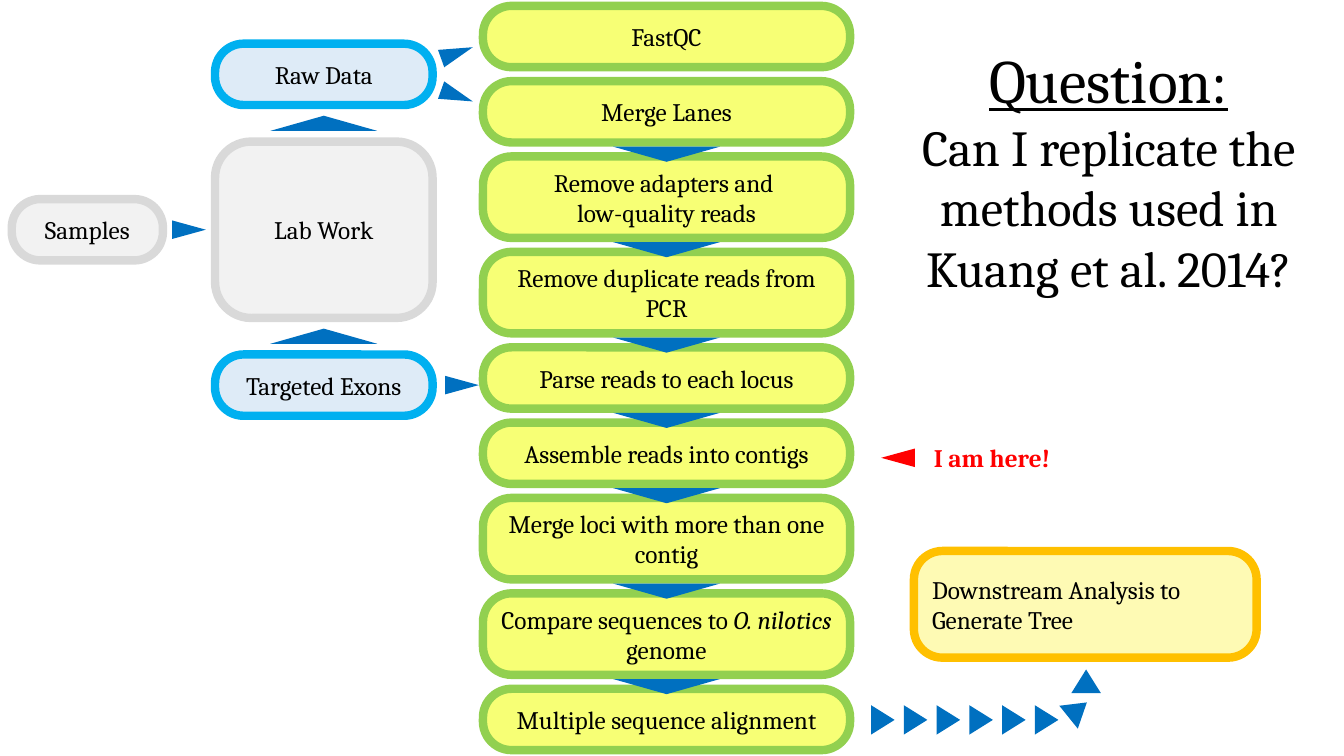
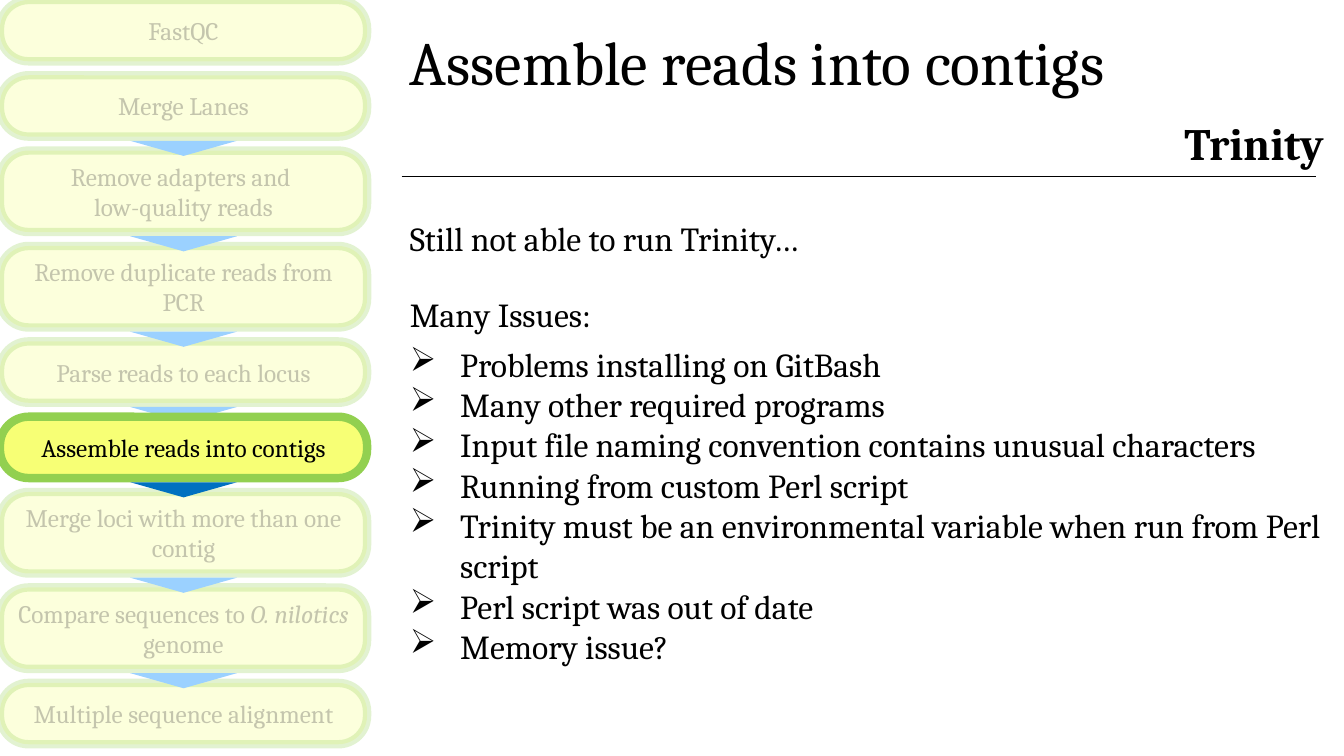
from dataclasses import dataclass

from lxml.etree import SubElement
from pptx import Presentation
from pptx.dml.color import RGBColor
from pptx.enum.shapes import MSO_CONNECTOR, MSO_SHAPE
from pptx.enum.text import MSO_ANCHOR, PP_ALIGN
from pptx.oxml.ns import qn
from pptx.util import Inches, Pt

FONT = "Cambria"
BLACK = RGBColor(0x00, 0x00, 0x00)
RED = RGBColor(0xFF, 0x00, 0x00)
BLUE = RGBColor(0x00, 0x70, 0xC0)
PALE_BLUE = RGBColor(0x9B, 0xD1, 0xFF)
FADED_TEXT = RGBColor(0xC4, 0xC5, 0xAD)
YELLOW, GREEN = RGBColor(0xF7, 0xFF, 0x75), RGBColor(0x92, 0xD0, 0x50)
ICE, SKY = RGBColor(0xDE, 0xEB, 0xF7), RGBColor(0x00, 0xB0, 0xF0)
MIST, GREY = RGBColor(0xF2, 0xF2, 0xF2), RGBColor(0xD9, 0xD9, 0xD9)
CREAM, AMBER = RGBColor(0xFE, 0xFA, 0xB4), RGBColor(0xFF, 0xC0, 0x00)

COLS, ROWS = 160, 90
SLIDE_W, SLIDE_H = Inches(13.33), Inches(7.5)
ONE_LINE, TWO_LINES = 7.3, 9.7
CHEVRON = (12.7, 1.8)
POINTER = (2.2, 4)
TRAIL = (3.5, 2.8)

STEPS = [
    (ONE_LINE, ["FastQC"]),
    (ONE_LINE, ["Merge Lanes"]),
    (TWO_LINES, ["Remove adapters and ", "low-quality reads"]),
    (TWO_LINES, ["Remove duplicate reads from PCR"]),
    (ONE_LINE, ["Parse reads to each locus"]),
    (ONE_LINE, ["Assemble reads into contigs"]),
    (TWO_LINES, ["Merge loci with more than one contig"]),
    (TWO_LINES, [[("Compare sequences to ", {}), ("O. nilotics", {"italic": True}),
                  (" genome", {})]]),
    (ONE_LINE, ["Multiple sequence alignment"]),
]
ASSEMBLE = 5

ISSUES = [
    "Problems installing on GitBash",
    "Many other required programs",
    "Input file naming convention contains unusual characters",
    "Running from custom Perl script",
    "Trinity must be an environmental variable when run from Perl script",
    "Perl script was out of date",
    "Memory issue?",
]


@dataclass
class Box:
    x: float
    y: float
    w: float
    h: float

    @property
    def right(self):
        return self.x + self.w

    @property
    def bottom(self):
        return self.y + self.h

    @property
    def cx(self):
        return self.x + self.w / 2

    @property
    def cy(self):
        return self.y + self.h / 2

    def emu(self):
        return (col(self.x), row(self.y), col(self.w), row(self.h))


def col(n):
    return round(SLIDE_W * n / COLS)


def row(n):
    return round(SLIDE_H * n / ROWS)


def add_bullet(p):
    pPr = p._p.get_or_add_pPr()
    pPr.set("marL", str(Inches(0.5)))
    pPr.set("indent", str(-Inches(0.5)))
    SubElement(pPr, qn("a:buChar")).set("char", "➢")


def write(tf, paras, size=18, color=BLACK, align=PP_ALIGN.LEFT, bullet=False, **style):
    tf.word_wrap = True
    for i, runs in enumerate(paras):
        p = tf.paragraphs[0] if i == 0 else tf.add_paragraph()
        p.alignment = align
        if bullet:
            add_bullet(p)
        for text, extra in [(runs, {})] if isinstance(runs, str) else runs:
            r = p.add_run()
            r.text = text
            r.font.name = FONT
            r.font.color.rgb = color
            for key, value in {"size": Pt(size), **style, **extra}.items():
                setattr(r.font, key, value)


def add_text(s, box, paras, **style):
    write(s.shapes.add_textbox(*box.emu()).text_frame, paras, **style)


def add_card(s, box, paras, fill, line, radius=3.4, faded=False, align=PP_ALIGN.CENTER):
    sp = s.shapes.add_shape(MSO_SHAPE.ROUNDED_RECTANGLE, *box.emu())
    sp.shadow.inherit = False
    sp.adjustments[0] = radius / min(box.w, box.h)
    sp.fill.solid()
    sp.fill.fore_color.rgb = fill
    sp.line.color.rgb = line
    sp.line.width = Pt(6)
    if faded:
        for clr in sp.element.spPr.iter(qn("a:srgbClr")):
            SubElement(clr, qn("a:alpha")).set("val", "25000")
    sp.text_frame.vertical_anchor = MSO_ANCHOR.MIDDLE
    write(sp.text_frame, paras, color=FADED_TEXT if faded else BLACK, align=align)


def add_arrow(s, cx, cy, size, rotation=0, color=BLUE):
    w, h = size
    box = Box(cx - w / 2, cy - h / 2, w, h)
    sp = s.shapes.add_shape(MSO_SHAPE.ISOSCELES_TRIANGLE, *box.emu())
    sp.shadow.inherit = False
    sp.rotation = rotation
    sp.fill.solid()
    sp.fill.fore_color.rgb = color
    sp.line.fill.background()


def pipeline(s, box, current=None):
    gap = (box.h - sum(h for h, _ in STEPS)) / (len(STEPS) - 1)
    cards, y = [], box.y
    for h, _ in STEPS:
        cards.append(Box(box.x, y, box.w, h))
        y += h + gap

    def draw_cards(group, faded):
        for i in group:
            add_card(s, cards[i], STEPS[i][1], YELLOW, GREEN, faded=faded)
        for i in group:
            if 0 < i < len(STEPS) - 1:
                add_arrow(s, box.cx, cards[i].bottom + 0.5 + CHEVRON[1] / 2, CHEVRON,
                          180, PALE_BLUE if faded else BLUE)

    everything = range(len(STEPS))
    if current is None:
        draw_cards(everything, False)
    else:
        draw_cards([i for i in everything if i != current], True)
        draw_cards([current], False)


def lab_inputs(s, box):
    w = 25.9
    raw = Box(box.right - w, box.y, w, ONE_LINE)
    exons = Box(raw.x, box.bottom - ONE_LINE, w, ONE_LINE)
    lab = Box(raw.x, box.cy - 10.5, w, 21)
    samples = Box(box.x, box.cy - ONE_LINE / 2, 18, ONE_LINE)
    add_card(s, raw, ["Raw Data"], ICE, SKY)
    add_card(s, exons, ["Targeted Exons"], ICE, SKY)
    add_card(s, lab, ["Lab Work"], MIST, GREY, radius=4.3)
    add_card(s, samples, ["Samples"], MIST, GREY)
    add_arrow(s, raw.cx, (raw.bottom + lab.y) / 2, CHEVRON)
    add_arrow(s, raw.cx, (lab.bottom + exons.y) / 2, CHEVRON)
    add_arrow(s, (samples.right + lab.x) / 2, box.cy, POINTER, 90)
    add_arrow(s, box.right + 3.5, exons.cy, POINTER, 90)
    for side in (-1, 1):
        add_arrow(s, box.right + 2.9, raw.cy + side * 2.55, POINTER, 90 + side * 19.7)


def downstream(s, box):
    card = Box(box.right - 40.8, box.y, 40.8, 12.7)
    add_card(s, card, ["Downstream Analysis to", "Generate Tree"], CREAM, AMBER,
             align=PP_ALIGN.LEFT)
    for i in range(6):
        add_arrow(s, box.x + 1.8 + 3.9 * i, box.bottom - 1.4, TRAIL, 90)
    add_arrow(s, card.x + 19.5, box.bottom - 2.6, TRAIL, 51.1)
    add_arrow(s, card.x + 20.5, card.bottom + 2.8, TRAIL)


def here_marker(s, box):
    add_arrow(s, box.x + 2, box.cy, POINTER, 270, RED)
    add_text(s, Box(box.x + 5.1, box.y, box.w - 5.1, box.h), ["I am here!"],
             color=RED, bold=True)


def question(s, box):
    add_text(s, box, [
        [("Question:", {"size": Pt(44), "underline": True})],
        "Can I replicate the methods used in Kuang et al. 2014?",
    ], size=36, align=PP_ALIGN.CENTER)


def heading(s, box, title, tool):
    add_text(s, Box(box.x, box.y, 94.7, box.h), [title], size=44)
    add_text(s, Box(box.right - 21.8, box.y + 11, 21.8, 7.7), [tool], size=32, bold=True)
    y = row(box.bottom)
    rule = s.shapes.add_connector(MSO_CONNECTOR.STRAIGHT, col(box.x + 0.2), y,
                                  col(box.right - 4.9), y)
    rule.line.color.rgb = BLACK
    rule.line.width = Pt(0.5)
    SubElement(rule.element.spPr, qn("a:effectLst"))


def issues(s, box):
    for i, text in enumerate(["Still not able to run Trinity…", "Many Issues:"]):
        add_text(s, Box(box.x, box.y + 9 * i, 78.6, 6), [text], size=24)
    add_text(s, Box(box.x, box.y + 14.9, box.w, box.h - 14.9), ISSUES, size=24, bullet=True)


def workflow_slide(prs):
    s = prs.slides.add_slide(prs.slide_layouts[6])
    lab_inputs(s, Box(1.4, 5.2, 50.1, 44.3))
    pipeline(s, Box(57.5, 0.7, 43.7, 88.6))
    downstream(s, Box(103.3, 65.6, 46.3, 21.5))
    here_marker(s, Box(104.9, 52.1, 27.9, 4.8))
    question(s, Box(104.3, 4.4, 55.4, 31.9))


def step_slide(prs):
    s = prs.slides.add_slide(prs.slide_layouts[6])
    pipeline(s, Box(0, 0, 43.7, 88.6), ASSEMBLE)
    heading(s, Box(47.6, 2.2, 114, 18.8), "Assemble reads into contigs", "Trinity")
    issues(s, Box(47.6, 25.4, 113.9, 54.9))


def main():
    prs = Presentation()
    prs.slide_width, prs.slide_height = SLIDE_W, SLIDE_H
    workflow_slide(prs)
    step_slide(prs)
    prs.save("out.pptx")


if __name__ == "__main__":
    main()
